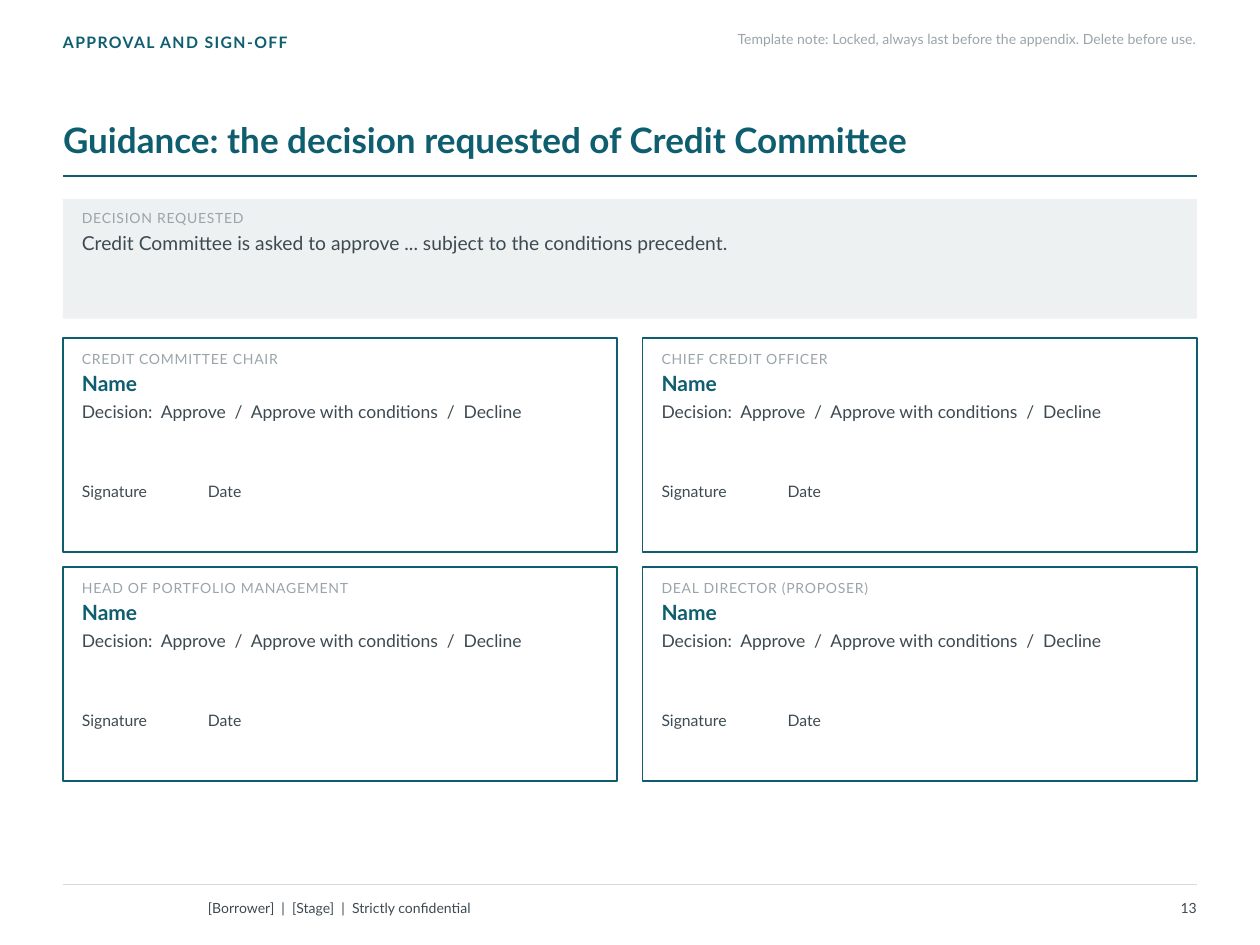
"""Build the approval and sign-off page of a credit paper."""
import pptx
import pptx.dml.color
import pptx.enum.shapes
import pptx.enum.text
import pptx.util
from lxml import etree
from pptx.oxml.ns import qn

COLORS = {"teal": "0E5E6F", "ink": "3D4A52", "muted": "9AA5AB", "panel": "EEF1F2", "rule": "D3D9DC"}
FONT = "Lato"
PX = 9144
DATE_TAB = 160

TITLE = "Guidance: the decision requested of Credit Committee"
REQUEST = [
    ("label", "DECISION REQUESTED"),
    ("request", "Credit Committee is asked to approve ... subject to the conditions precedent."),
]
SIGNATORIES = [
    "CREDIT COMMITTEE CHAIR",
    "CHIEF CREDIT OFFICER",
    "HEAD OF PORTFOLIO MANAGEMENT",
    "DEAL DIRECTOR (PROPOSER)",
]
CARD_LINES = [
    ("name", "Name"),
    ("decision", "Decision:  Approve  /  Approve with conditions  /  Decline"),
    ("signature", "Signature\tDate"),
]
CAPTIONS = [
    ("section", "APPROVAL AND SIGN-OFF", (50, 26, 700, 24), "TOP"),
    ("note", "Template note: Locked, always last before the appendix. Delete before use.", (540, 24, 410, 24), "TOP"),
    ("footer", "[Borrower]  |  [Stage]  |  Strictly confidential", (165, 708, 560, 26), "MIDDLE"),
    ("number", "13", (850, 708, 100, 26), "MIDDLE"),
]
RULES = [(702, "rule", 0.75), (140, "teal", 1.25)]
STYLES = {
    "title": {"size": 20, "color": "teal", "bold": True, "leading": 0.92},
    "section": {"size": 9, "color": "teal", "bold": True, "tracking": 80},
    "label": {"size": 8, "color": "muted", "tracking": 40},
    "request": {"size": 11, "before": 3},
    "name": {"size": 12, "color": "teal", "bold": True, "before": 2},
    "decision": {"size": 10, "before": 3},
    "signature": {"size": 9, "before": 34},
    "note": {"size": 8, "color": "muted", "align": "RIGHT"},
    "footer": {"size": 8},
    "number": {"size": 8, "align": "RIGHT"},
}


def rgb(name):
    return pptx.dml.color.RGBColor.from_string(COLORS[name])


def place(box, frame):
    for side, value in zip(("left", "top", "width", "height"), frame):
        setattr(box, side, value * PX)


def write(box, lines, insets=(0, 0, 0, 0), anchor="TOP"):
    text = box.text_frame
    text.word_wrap = True
    text.auto_size = pptx.enum.text.MSO_AUTO_SIZE.NONE
    text.vertical_anchor = getattr(pptx.enum.text.MSO_ANCHOR, anchor)
    for side, value in zip(("left", "top", "right", "bottom"), insets):
        setattr(text, f"margin_{side}", value * PX)
    for index, (style_name, words) in enumerate(lines):
        style = STYLES[style_name]
        para = text.add_paragraph() if index else text.paragraphs[0]
        properties = para._p.get_or_add_pPr()
        for key in ("marL", "indent"):
            properties.set(key, "0")
        etree.SubElement(properties, qn("a:buNone"))
        if "\t" in words:
            tabs = etree.SubElement(properties, qn("a:tabLst"))
            etree.SubElement(tabs, qn("a:tab"), pos=str(DATE_TAB * PX), algn="l")
        formats = {
            "space_before": pptx.util.Pt(style.get("before", 0)),
            "line_spacing": style.get("leading", 1.0),
            "alignment": getattr(pptx.enum.text.PP_ALIGN, style.get("align", "LEFT")),
        }
        for key, value in formats.items():
            setattr(para, key, value)
        span = para.add_run()
        span.text = words
        formats = {"name": FONT, "size": pptx.util.Pt(style["size"]), "bold": style.get("bold", False)}
        for key, value in formats.items():
            setattr(span.font, key, value)
        span.font.color.rgb = rgb(style.get("color", "ink"))
        span.font._element.set("spc", str(style.get("tracking", 0)))


def add_rule(page, top, color, weight):
    line = page.shapes.add_connector(
        pptx.enum.shapes.MSO_CONNECTOR.STRAIGHT, 50 * PX, top * PX, 950 * PX, top * PX)
    line.line.color.rgb = rgb(color)
    line.line.width = pptx.util.Pt(weight)
    etree.SubElement(line._element.spPr, qn("a:effectLst"))


def main():
    deck = pptx.Presentation()
    deck.slide_width, deck.slide_height = 1000 * PX, 750 * PX
    page = deck.slides.add_slide(deck.slide_layouts.get_by_name("Comparison"))

    for rule in RULES:
        add_rule(page, *rule)

    title = page.shapes.title
    place(title, (50, 50, 900, 82))
    write(title, [("title", TITLE)], (0, 0, 0, 4), "BOTTOM")

    panel = page.shapes.add_shape(
        pptx.enum.shapes.MSO_SHAPE.RECTANGLE, *(value * PX for value in (50, 158, 900, 95)))
    panel.shadow.inherit = False
    panel.fill.solid()
    panel.fill.fore_color.rgb = rgb("panel")
    panel.line.fill.background()
    write(panel, REQUEST, (15, 8, 15, 5))

    cards = [box for box in page.placeholders if box.placeholder_format.idx in range(1, 5)]
    for index, (card, role) in enumerate(zip(cards, SIGNATORIES)):
        row, column = divmod(index, 2)
        place(card, (50 + column * 460, 268 + row * 182, 440, 170))
        card.line.color.rgb = rgb("teal")
        card.line.width = pptx.util.Pt(1)
        write(card, [("label", role), *CARD_LINES], (15, 10, 15, 6))

    for style_name, words, frame, anchor in CAPTIONS:
        box = page.shapes.add_textbox(*(value * PX for value in frame))
        write(box, [(style_name, words)], anchor=anchor)

    deck.save("out.pptx")


if __name__ == "__main__":
    main()
